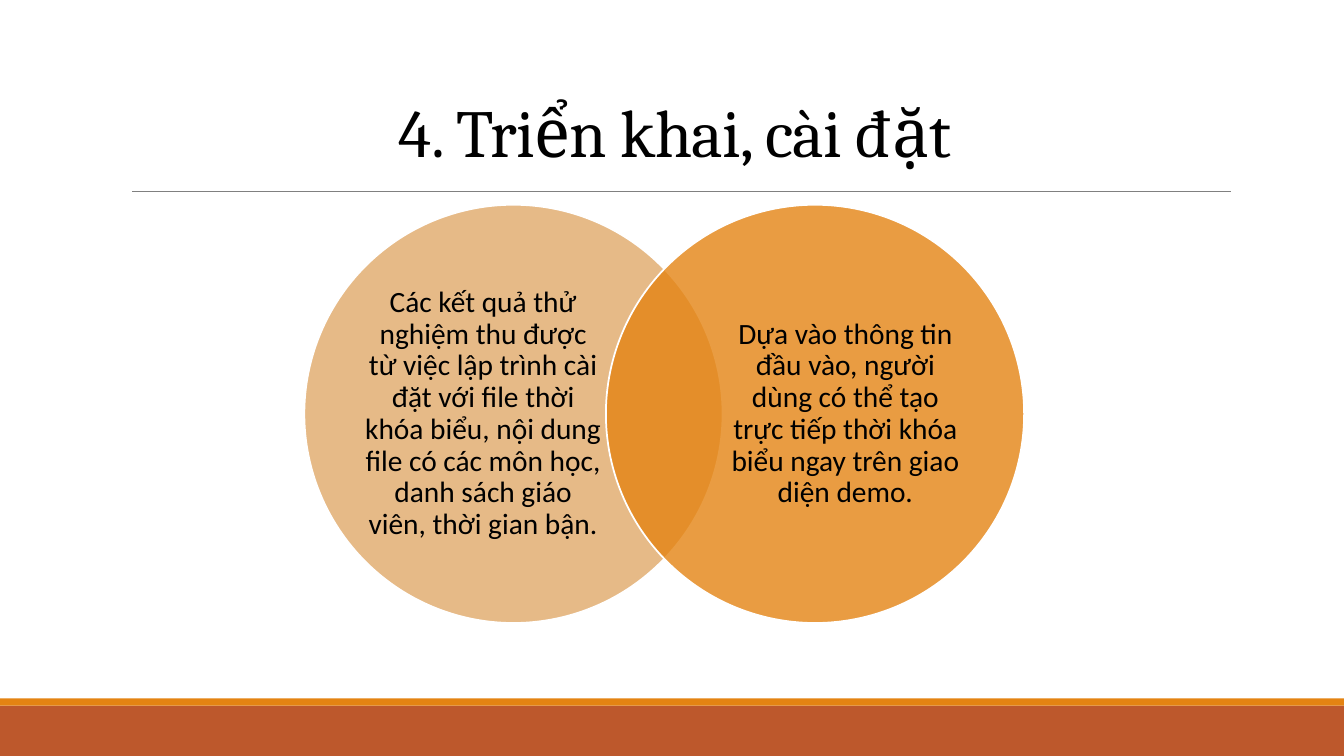
from lxml import etree
from pptx import Presentation
from pptx import util as u
from pptx.dml.color import RGBColor
from pptx.enum import shapes, text
from pptx.oxml.ns import qn

SLIDE = (33.87, 19.05)
TITLE = "4. Triển khai, cài đặt"
TITLE_BOX = (2.92, 1.93, 28.19, 2.51)
BANDS = [(17.78, 1.27, "BD582C"), (17.6, 0.18, "E48312")]
RULE = {"left": 3.33, "right": 31.01, "y": 4.83}
CIRCLES = [
    ("Các kết quả thử nghiệm thu được từ việc lập trình cài đặt với file "
     "thời khóa biểu, nội dung file có các môn học, danh sách giáo viên, "
     "thời gian bận.", "CF7710", 50),
    ("Dựa vào thông tin đầu vào, người dùng có thể tạo trực tiếp thời khóa "
     "biểu ngay trên giao diện demo.", "E48413", 80),
]
LEFT, TOP, DIAMETER, STEP = 7.67, 5.16, 10.54, 7.6
LABEL_WIDTH, LABEL_HEIGHT, OUTER_GAP = 6.07, 8.05, 1.47
TITLE_FORMAT = {"name": "Cambria", "size": u.Pt(48)}
LABEL_FORMAT = {"name": "Calibri", "size": u.Pt(21)}
NO_INSETS = {"margin_left": 0, "margin_right": 0, "margin_top": 0, "margin_bottom": 0}


def paint(color_format, hex_color):
    color_format.rgb = RGBColor.from_string(hex_color)


def apply(target, values):
    for name, value in values.items():
        setattr(target, name, value)


def add_filled(slide, kind, box, hex_color):
    filled = slide.shapes.add_shape(kind, *map(u.Cm, box))
    filled.shadow.inherit = False
    filled.fill.solid()
    paint(filled.fill.fore_color, hex_color)
    filled.line.fill.background()
    return filled


def add_words(slide, words, box, font_format, frame_format, line_spacing):
    frame = slide.shapes.add_textbox(*map(u.Cm, box)).text_frame
    apply(frame, {"word_wrap": True, **frame_format})
    paragraph = frame.paragraphs[0]
    apply(paragraph, {"alignment": text.PP_ALIGN.CENTER, "line_spacing": line_spacing})
    run = paragraph.add_run()
    run.text = words
    apply(run.font, font_format)
    paint(run.font.color, "000000")
    return run


def add_circle(slide, index, label, hex_color, opacity):
    left = LEFT + index * STEP
    circle = add_filled(slide, shapes.MSO_SHAPE.OVAL,
                        (left, TOP, DIAMETER, DIAMETER), hex_color)
    fill_color = circle._element.spPr.find(qn("a:solidFill"))[0]
    etree.SubElement(fill_color, qn("a:alpha")).set("val", str(opacity * 1000))
    paint(circle.line.fill.fore_color if circle.line.fill.type == 1 else circle.line.color, "FFFFFF")
    circle.line.width = u.Pt(1.25)
    inset = OUTER_GAP if index == 0 else DIAMETER - LABEL_WIDTH - OUTER_GAP
    label_top = TOP + (DIAMETER - LABEL_HEIGHT) / 2
    add_words(slide, label, (left + inset, label_top, LABEL_WIDTH, LABEL_HEIGHT),
              LABEL_FORMAT, {"vertical_anchor": text.MSO_ANCHOR.MIDDLE, **NO_INSETS}, 0.9)


def main():
    deck = Presentation()
    apply(deck, {"slide_width": u.Cm(SLIDE[0]), "slide_height": u.Cm(SLIDE[1])})
    slide = deck.slides.add_slide(deck.slide_layouts[6])

    for top, height, hex_color in BANDS:
        add_filled(slide, shapes.MSO_SHAPE.RECTANGLE, (0, top, SLIDE[0], height), hex_color)

    rule = slide.shapes.add_connector(
        shapes.MSO_CONNECTOR.STRAIGHT,
        *map(u.Cm, (RULE["left"], RULE["y"], RULE["right"], RULE["y"])))
    paint(rule.line.color, "808080")
    rule.line.width = u.Pt(0.5)
    etree.SubElement(rule._element.spPr, qn("a:effectLst"))

    title = add_words(slide, TITLE, TITLE_BOX, TITLE_FORMAT,
                      {"vertical_anchor": text.MSO_ANCHOR.BOTTOM}, 0.85)
    title._r.get_or_add_rPr().set("spc", "-50")

    for index, circle in enumerate(CIRCLES):
        add_circle(slide, index, *circle)

    deck.save("out.pptx")


if __name__ == "__main__":
    main()
